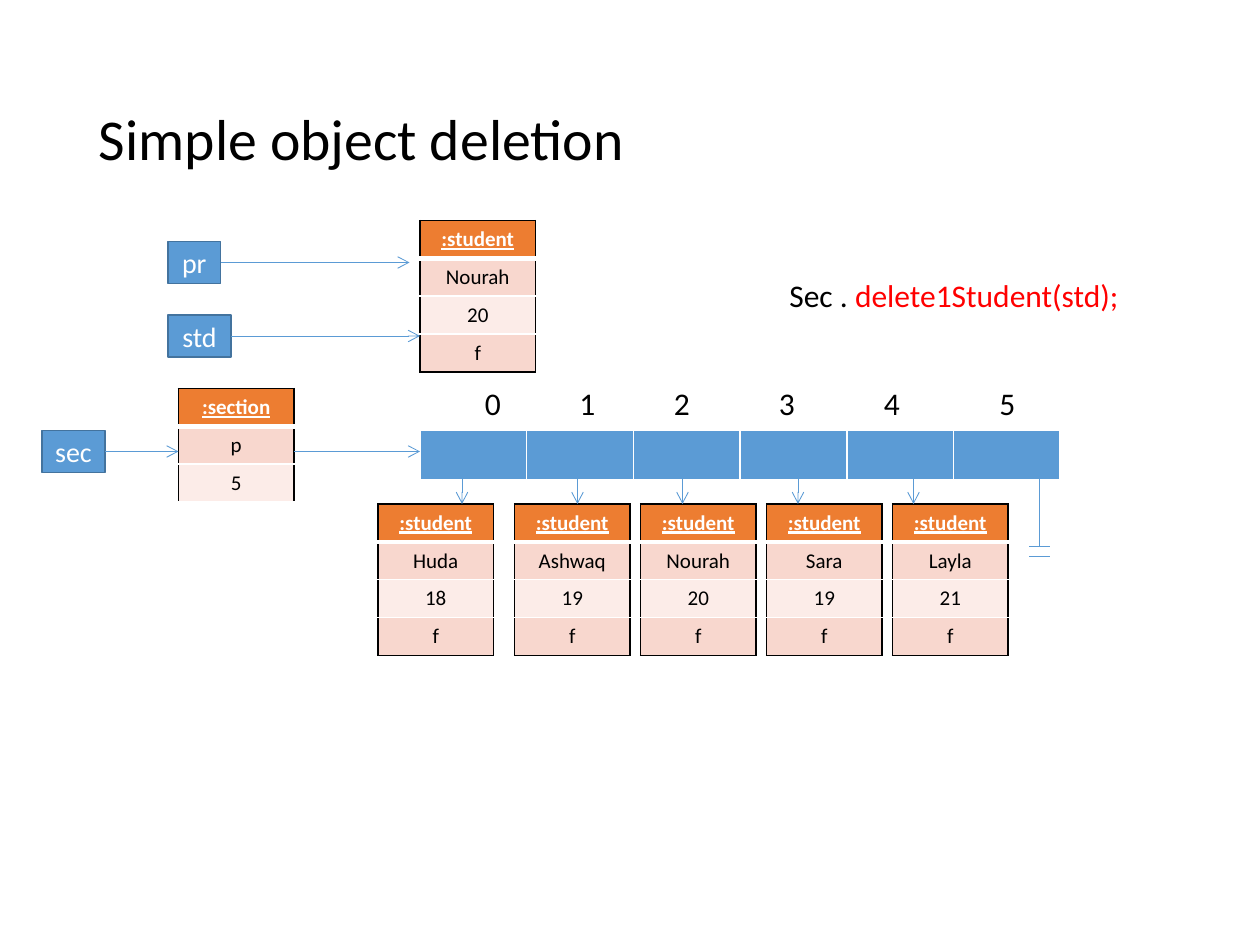
from dataclasses import dataclass

from lxml.etree import SubElement
from pptx import Presentation
from pptx.dml.color import RGBColor
from pptx.enum.shapes import MSO_CONNECTOR, MSO_SHAPE
from pptx.enum.text import MSO_ANCHOR, PP_ALIGN
from pptx.oxml.ns import qn
from pptx.shapes.autoshape import Shape
from pptx.shapes.connector import Connector
from pptx.slide import Slide
from pptx.table import Table, _Cell
from pptx.util import Pt

FONT = "Calibri"
COLORS = {
    "ink": "000000",
    "paper": "FFFFFF",
    "call": "FF0000",
    "blue": "5B9BD5",
    "outline": "43739E",
    "header": "ED7D31",
    "band_dark": "F8D7CE",
    "band_light": "FCECE8",
}
OBJECT_WIDTH = 66
OBJECT_ROW = 21.6
ARRAY_LEFT, ARRAY_TOP, ARRAY_CELL, ARRAY_HEIGHT = 240, 246, 61, 29.2
INDEX_LEFTS = (270, 324, 378, 438, 498, 564)
POINTER_TOP, STUDENT_TOP = 270, 288


@dataclass(frozen=True)
class ObjectCard:
    left: float
    top: float
    kind: str
    values: tuple[str, ...]
    closed: bool = True


@dataclass(frozen=True)
class Reference:
    name: str
    left: float
    top: float
    width: float
    target: float


@dataclass(frozen=True)
class Border:
    color: str
    width: float = 1


BLACK, WHITE, THICK = Border("ink"), Border("paper"), Border("paper", 3)

CARDS = (
    ObjectCard(240, 126, ":student", ("Nourah", "20", "f")),
    ObjectCard(102, 222, ":section", ("p", "5"), closed=False),
    ObjectCard(216, STUDENT_TOP, ":student", ("Huda", "18", "f")),
    ObjectCard(294, STUDENT_TOP, ":student", ("Ashwaq", "19", "f")),
    ObjectCard(366, STUDENT_TOP, ":student", ("Nourah", "20", "f")),
    ObjectCard(438, STUDENT_TOP, ":student", ("Sara", "19", "f")),
    ObjectCard(510, STUDENT_TOP, ":student", ("Layla", "21", "f")),
)
REFERENCES = (
    Reference("pr", 96, 138, 30, 234),
    Reference("std", 96, 180, 36, 240),
    Reference("sec", 24, 246, 36, 102),
)
ARROWS = (
    (168, 258, ARRAY_LEFT, 258),
    *((x, POINTER_TOP, x, STUDENT_TOP) for x in (264, 330, 390, 456, 522)),
)
NULL_LINES = (
    (594, POINTER_TOP, 594, 312),
    (600, 312, 588, 312),
    (600, 318, 588, 318),
)


def rgb(color: str) -> RGBColor:
    """Return a palette colour."""
    return RGBColor.from_string(COLORS[color])


def write(holder: Shape | _Cell, runs: tuple[tuple[str, str], ...], size: float,
          align: PP_ALIGN = PP_ALIGN.LEFT, strong: bool = False) -> None:
    """Write coloured runs into the first paragraph."""
    paragraph = holder.text_frame.paragraphs[0]
    paragraph.alignment = align
    for words, color in runs:
        run = paragraph.add_run()
        run.text = words
        run.font.name, run.font.size = FONT, Pt(size)
        run.font.bold = run.font.underline = strong
        run.font.color.rgb = rgb(color)


def add_label(slide: Slide, left: float, top: float, width: float, height: float,
              runs: tuple[tuple[str, str], ...], size: float,
              anchor: MSO_ANCHOR = MSO_ANCHOR.TOP, wrap: bool = True) -> Shape:
    """Add a text box."""
    label = slide.shapes.add_textbox(Pt(left), Pt(top), Pt(width), Pt(height))
    label.text_frame.word_wrap = wrap
    label.text_frame.vertical_anchor = anchor
    write(label, runs, size)
    return label


def add_line(slide: Slide, x1: float, y1: float, x2: float, y2: float,
             arrow: bool = True) -> Connector:
    """Add a thin straight line, with an open arrowhead if wanted."""
    line = slide.shapes.add_connector(
        MSO_CONNECTOR.STRAIGHT, Pt(x1), Pt(y1), Pt(x2), Pt(y2))
    line.line.color.rgb = rgb("blue")
    line.line.width = Pt(0.5)
    if arrow:
        SubElement(line.line._get_or_add_ln(), qn("a:tailEnd"), type="arrow")
    SubElement(line._element.spPr, qn("a:effectLst"))
    return line


def add_reference(slide: Slide, reference: Reference) -> None:
    """Add a variable box and the arrow that leaves it."""
    height = 24
    box = slide.shapes.add_shape(
        MSO_SHAPE.RECTANGLE, Pt(reference.left), Pt(reference.top),
        Pt(reference.width), Pt(height))
    box.shadow.inherit = False
    box.fill.solid()
    box.fill.fore_color.rgb = rgb("blue")
    box.line.color.rgb = rgb("outline")
    box.line.width = Pt(1)
    box.text_frame.word_wrap = False
    box.text_frame.vertical_anchor = MSO_ANCHOR.MIDDLE
    write(box, ((reference.name, "paper"),), 16, PP_ALIGN.CENTER)
    middle = reference.top + height / 2
    arrow = add_line(slide, reference.left + reference.width, middle,
                     reference.target, middle)
    arrow.begin_connect(box, 3)


def style_cell(cell: _Cell, fill: str, side: Border, top: Border, bottom: Border) -> None:
    """Set the borders and fill of a cell."""
    properties = cell._tc.get_or_add_tcPr()
    for edge, border in (("L", side), ("R", side), ("T", top), ("B", bottom)):
        outline = SubElement(properties, qn(f"a:ln{edge}"), w=str(Pt(border.width)))
        paint = SubElement(outline, qn("a:solidFill"))
        SubElement(paint, qn("a:srgbClr"), val=COLORS[border.color])
    cell.fill.solid()
    cell.fill.fore_color.rgb = rgb(fill)


def add_grid(slide: Slide, left: float, top: float, rows: int, columns: int,
             cell_width: float, cell_height: float) -> Table:
    """Add a plain table of equal cells."""
    grid = slide.shapes.add_table(
        rows, columns, Pt(left), Pt(top),
        Pt(cell_width * columns), Pt(cell_height * rows)).table
    grid.first_row = grid.horz_banding = False
    return grid


def add_card(slide: Slide, card: ObjectCard) -> None:
    """Add an object table with its class name and field values."""
    last = len(card.values)
    grid = add_grid(slide, card.left, card.top, last + 1, 1, OBJECT_WIDTH, OBJECT_ROW)
    for row, words in enumerate((card.kind, *card.values)):
        cell = grid.cell(row, 0)
        header = row == 0
        fill = "header" if header else "band_dark" if row % 2 else "band_light"
        top = BLACK if header else THICK if row == 1 else WHITE
        bottom = THICK if header else BLACK if row == last and card.closed else WHITE
        style_cell(cell, fill, BLACK, top, bottom)
        write(cell, ((words, "paper" if header else "ink"),), 12,
              PP_ALIGN.CENTER, strong=header)


def add_array(slide: Slide) -> None:
    """Add the array of student slots with its indices."""
    slots = add_grid(slide, ARRAY_LEFT, ARRAY_TOP, 1, len(INDEX_LEFTS),
                     ARRAY_CELL, ARRAY_HEIGHT)
    for index, left in enumerate(INDEX_LEFTS):
        style_cell(slots.cell(0, index), "blue", WHITE, WHITE, THICK)
        add_label(slide, left, 216, 24.5, 29, ((str(index), "ink"),), 18, wrap=False)


def main() -> None:
    """Build the slide and save it."""
    deck = Presentation()
    deck.slide_width, deck.slide_height = Pt(720), Pt(540)
    slide = deck.slides.add_slide(deck.slide_layouts[6])
    title = add_label(slide, 49.5, 29, 621, 104.5, (("Simple object deletion", "ink"),),
                      33, MSO_ANCHOR.MIDDLE)
    title.text_frame.paragraphs[0].line_spacing = 0.9
    add_label(slide, 444, 132, 204, 51,
              (("Sec . ", "ink"), ("delete1Student(std);", "call")), 18, MSO_ANCHOR.BOTTOM)
    add_array(slide)
    for card in CARDS:
        add_card(slide, card)
    for reference in REFERENCES:
        add_reference(slide, reference)
    for ends in ARROWS:
        add_line(slide, *ends)
    for ends in NULL_LINES:
        add_line(slide, *ends, arrow=False)
    deck.save("out.pptx")


if __name__ == "__main__":
    main()
